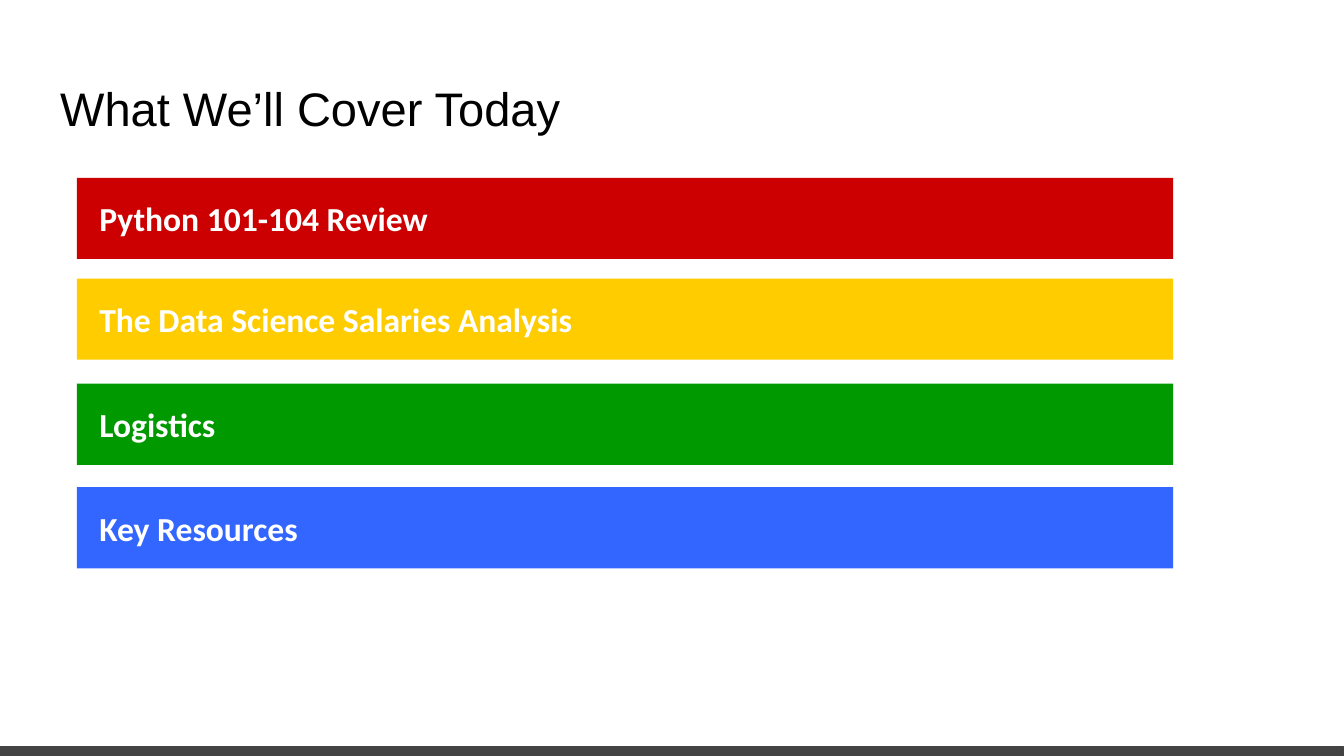
from dataclasses import dataclass

from pptx import Presentation
from pptx import util as u
from pptx.dml.color import RGBColor
from pptx.enum import shapes, text

PX = 9525  # EMU per px, 96 px to the inch


def px(length: int) -> u.Emu:
    return u.Emu(length * PX)


@dataclass(frozen=True)
class Theme:
    title_font: str = "Arial"
    title_size: float = 25.2
    title_color: str = "000000"
    topic_font: str = "Calibri"
    topic_size: float = 18
    topic_color: str = "FFFFFF"
    footer: str = "434343"
    red: str = "CC0000"
    yellow: str = "FFCC00"
    green: str = "009900"
    blue: str = "3366FF"


@dataclass(frozen=True)
class Box:
    left: int
    top: int
    width: int
    height: int


@dataclass(frozen=True)
class Topic:
    label: str
    color: str
    top: int


THEME = Theme()
TITLE = Box(33, 47, 895, 60)
FOOTER = Box(0, 534, 960, 7)
TOPIC_LEFT, TOPIC_WIDTH, TOPIC_HEIGHT = 55, 783, 58
TOPICS = [
    Topic("Python 101-104 Review", THEME.red, 127),
    Topic("The Data Science Salaries Analysis", THEME.yellow, 199),
    Topic("Logistics", THEME.green, 274),
    Topic("Key Resources", THEME.blue, 348),
]


def add_bar(slide, box: Box, color: str):
    bar = slide.shapes.add_shape(
        shapes.MSO_SHAPE.RECTANGLE,
        px(box.left), px(box.top), px(box.width), px(box.height),
    )
    bar.shadow.inherit = False
    bar.fill.solid()
    bar.fill.fore_color.rgb = RGBColor.from_string(color)
    bar.line.fill.background()
    return bar


def write(frame, words: str, font: str, size: float, color: str, bold: bool,
          anchor, left_inset: int, inset: int) -> None:
    """Fill a text frame with one left-aligned line."""
    frame.text = words
    frame.word_wrap = True
    frame.auto_size = text.MSO_AUTO_SIZE.NONE
    frame.vertical_anchor = anchor
    frame.margin_left = px(left_inset)
    frame.margin_top = frame.margin_right = frame.margin_bottom = px(inset)
    line = frame.paragraphs[0]
    line.alignment = text.PP_ALIGN.LEFT
    style = line.runs[0].font
    style.name, style.size, style.bold = font, u.Pt(size), bold
    style.color.rgb = RGBColor.from_string(color)


def add_title(slide, words: str) -> None:
    title = slide.shapes.title
    title.left, title.top = px(TITLE.left), px(TITLE.top)
    title.width, title.height = px(TITLE.width), px(TITLE.height)
    write(title.text_frame, words, THEME.title_font, THEME.title_size,
          THEME.title_color, False, text.MSO_ANCHOR.TOP, 10, 10)


def add_topic(slide, topic: Topic) -> None:
    box = Box(TOPIC_LEFT, topic.top, TOPIC_WIDTH, TOPIC_HEIGHT)
    bar = add_bar(slide, box, topic.color)
    write(bar.text_frame, topic.label, THEME.topic_font, THEME.topic_size,
          THEME.topic_color, True, text.MSO_ANCHOR.MIDDLE, 16, 7)


def add_footer(slide) -> None:
    footer = add_bar(slide, FOOTER, THEME.footer)
    footer.line.color.rgb = RGBColor.from_string(THEME.footer)
    footer.line.width = u.Pt(1.5)


def main() -> None:
    deck = Presentation()
    deck.slide_width, deck.slide_height = px(960), px(540)
    slide = deck.slides.add_slide(deck.slide_layouts.get_by_name("Title Only"))
    add_footer(slide)
    add_title(slide, "What We’ll Cover Today")
    for topic in TOPICS:
        add_topic(slide, topic)
    deck.save("out.pptx")


if __name__ == "__main__":
    main()
